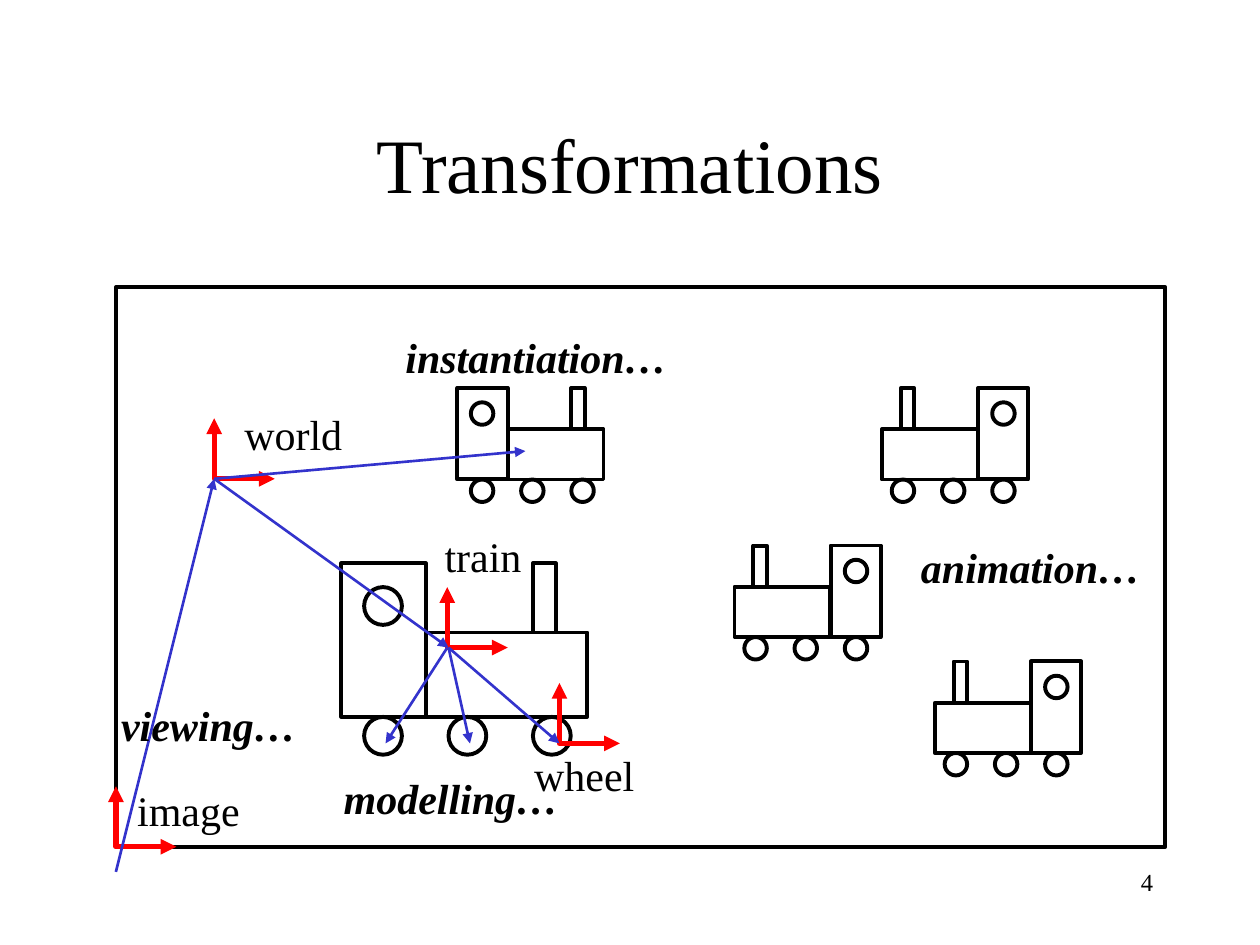
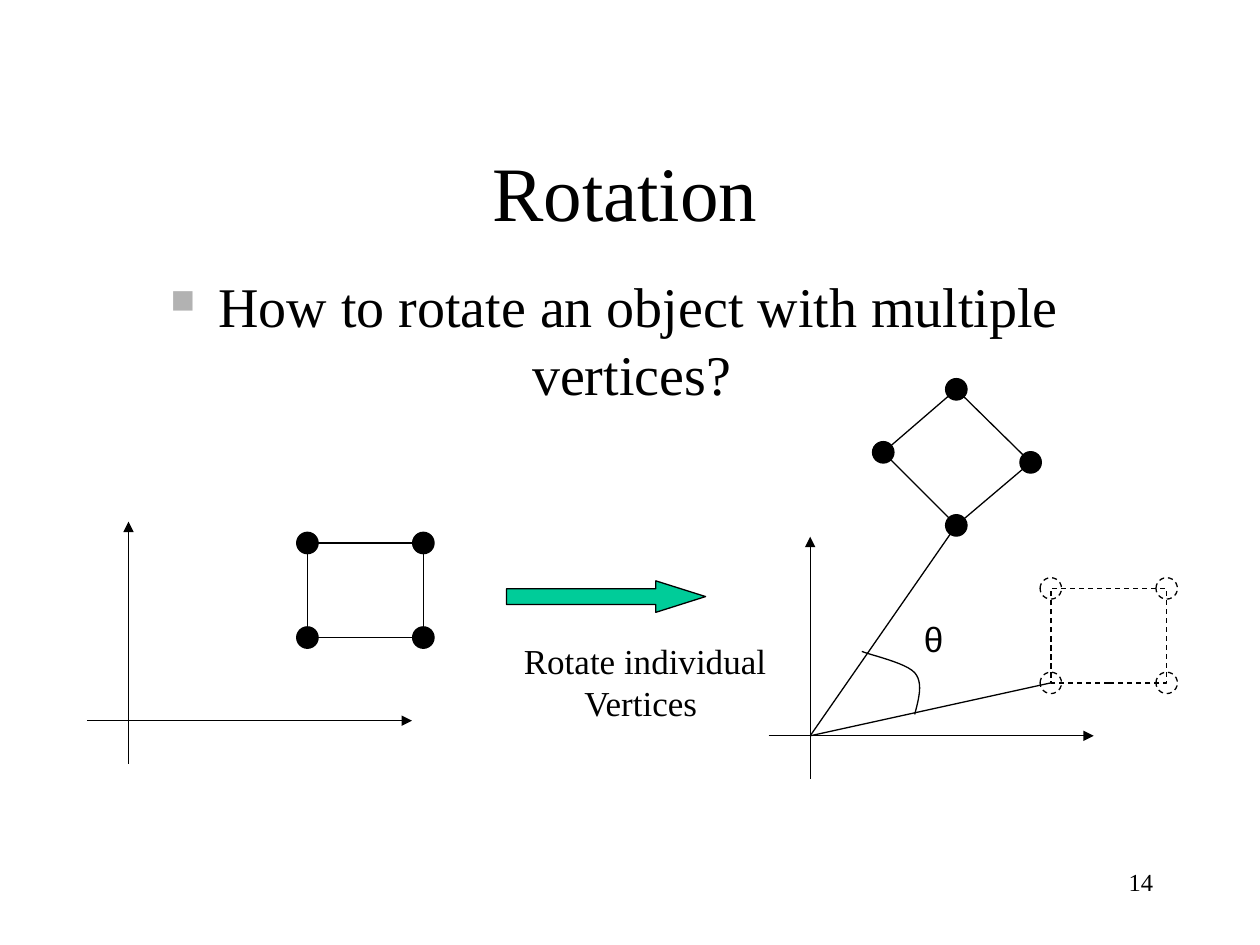
from itertools import product
from lxml import etree
from pptx import Presentation, util as u
from pptx.dml.color import RGBColor
from pptx.enum import dml, shapes, text
from pptx.oxml import ns

BLACK, RED, BLUE, GREEN, GREY = "000000", "FF0000", "3333CC", "00CC99", "B2B2B2"
SERIF = "Times New Roman"
RECT, OVAL = shapes.MSO_SHAPE.RECTANGLE, shapes.MSO_SHAPE.OVAL
LINE = shapes.MSO_CONNECTOR.STRAIGHT


def draw(item, color, width, fill=None, ends=(), dash=False):
    """Format a shape or connector; ends names its arrowheads."""
    item.line.color.rgb = RGBColor.from_string(color)
    item.line.width = u.Pt(width)
    if dash:
        item.line.dash_style = dml.MSO_LINE.DASH
    if fill:
        item.fill.solid()
        item.fill.fore_color.rgb = RGBColor.from_string(fill)
    elif hasattr(item, "fill"):
        item.fill.background()
    props = item.element.spPr
    for end in ends:
        etree.SubElement(props.find(ns.qn("a:ln")), ns.qn(f"a:{end}"), type="triangle")
    etree.SubElement(props, ns.qn("a:effectLst"))


def write(box, at, words, size, align="CENTER", anchor="TOP", wrap=False, **more):
    """Place a text box or placeholder and set its text."""
    for side, val in zip(("left", "top", "width", "height"), at):
        setattr(box, side, u.Inches(val))
    frame = box.text_frame
    frame.text = words
    frame.auto_size = text.MSO_AUTO_SIZE.NONE
    frame.word_wrap = wrap
    frame.vertical_anchor = text.MSO_ANCHOR[anchor]
    for para in frame.paragraphs:
        para.alignment = text.PP_ALIGN[align]
        font = para.runs[0].font
        font.color.rgb = RGBColor.from_string(BLACK)
        for key, val in {"name": SERIF, "size": u.Pt(size), **more}.items():
            setattr(font, key, val)


deck = Presentation()
deck.slide_width, deck.slide_height = u.Inches(10), u.Inches(7.5)

# Titles and page numbers
pages = []
for title, at, anchor, num in (
    ("Transformations", (0.75, 0.67, 8.5, 1.25), "MIDDLE", "4"),
    ("Rotation", (0.7, 0.68, 8.52, 1.25), "BOTTOM", "14"),
):
    page = deck.slides.add_slide(deck.slide_layouts[5])
    write(page.shapes.title, at, title, 44, anchor=anchor, wrap=True)
    write(page.shapes.add_textbox(0, 0, 0, 0), (7.17, 6.83, 2.08, 0.5),
          num, 14, "RIGHT", wrap=True)
    pages.append(page.shapes)
scene, turn = pages

# Slide 1: image frame
draw(scene.add_shape(RECT, *map(u.Inches, (0.92, 2.28, 8.33, 4.44))), BLACK, 2.25)

# Trains: parts at full size, then left, top, scale and facing of each train
LONG = 1.95
PARTS = (
    (RECT, 0.67, 0.55, 1.28, 0.67),   # boiler
    (RECT, 0, 0, 0.67, 1.22),         # cab
    (RECT, 1.52, 0, 0.18, 0.55),      # chimney
    (OVAL, 0.18, 0.19, 0.3, 0.3),     # window
    *((OVAL, x, 1.22, 0.3, 0.3) for x in (0.18, 0.85, 1.52)),  # wheels
)
SMALL = 0.595
for left, top, scale, flip in (
    (2.71, 4.47, 1, False), (3.63, 3.08, SMALL, False),
    (5.83, 4.33, SMALL, True), (7, 3.08, SMALL, True), (7.42, 5.25, SMALL, True),
):
    for kind, x, y, wide, high in PARTS:
        if flip:
            x = LONG - x - wide
        spot = (left + x * scale, top + y * scale, wide * scale, high * scale)
        draw(scene.add_shape(kind, *map(u.Inches, spot)), BLACK, 2.25)

# Coordinate axes with their labels
ARM = 0.48
for x, y, name, at in (
    (0.92, 6.72, "image", (0.99, 6.18, 1.01, 0.5)),
    (1.7, 3.8, "world", (1.84, 3.19, 0.98, 0.5)),
    (3.55, 5.14, "train", (3.43, 4.16, 0.81, 0.5)),
    (4.44, 5.9, "wheel", (4.14, 5.9, 0.99, 0.5)),
):
    pen = scene.build_freeform(u.Inches(x), u.Inches(y - ARM))
    pen.add_line_segments([(u.Inches(x), u.Inches(y)),
                           (u.Inches(x + ARM), u.Inches(y))], close=False)
    draw(pen.convert_to_shape(), RED, 3, ends=("headEnd", "tailEnd"))
    write(scene.add_textbox(0, 0, 0, 0), at, name, 24, "LEFT")

# Arrows from one frame of reference to the next
for ends in (
    (0.92, 6.92, 1.7, 3.8), (1.7, 3.8, 3.56, 5.14), (1.7, 3.8, 4.17, 3.58),
    (3.56, 5.14, 4.44, 5.9), (3.56, 5.14, 3.73, 5.9), (3.55, 5.14, 3.06, 5.9),
):
    draw(scene.add_connector(LINE, *map(u.Inches, ends)), BLUE, 1.5, ends=["tailEnd"])

# Names of the steps
for step, at in (
    ("modelling…", (2.63, 6.08, 1.9, 0.5)),
    ("instantiation…", (3.12, 2.58, 2.27, 0.5)),
    ("viewing…", (0.86, 5.5, 1.59, 0.5)),
    ("animation…", (7.21, 4.25, 1.94, 0.5)),
):
    write(scene.add_textbox(0, 0, 0, 0), at, step, 24, bold=True, italic=True)

# Slide 2: question with a square bullet
ask = turn.add_textbox(0, 0, 0, 0)
write(ask, (0.63, 2.11, 8.5, 4.5),
      "How to rotate an object with multiple vertices? ", 32, wrap=True)
para = ask.text_frame.paragraphs[0]
para.space_before = u.Pt(8)
props = para.alignment is not None and para.runs[0].font and ask.element.find(
    ".//" + ns.qn("a:pPr"))
props.set("marL", str(u.Inches(0.38)))
props.set("indent", str(-u.Inches(0.38)))
tint = etree.SubElement(props, ns.qn("a:buClr"))
etree.SubElement(tint, ns.qn("a:srgbClr"), val=GREY)
etree.SubElement(props, ns.qn("a:buSzPct"), val="60000")
etree.SubElement(props, ns.qn("a:buChar"), char="■")

# Axes, and the box before turning: solid on the left, dashed on the right
DOT = 0.17
for x, y, left, top, dash in (
    (1.02, 5.72, 2.44, 4.31, False), (6.43, 5.84, 8.34, 4.67, True),
):
    for ends in ((x - 0.33, y, x + 2.25, y), (x, y + 0.34, x, y - 1.58)):
        draw(turn.add_connector(LINE, *map(u.Inches, ends)), BLACK, 0.75,
             ends=["tailEnd"])
    wide, high = 0.92, 0.75
    draw(turn.add_shape(RECT, *map(u.Inches, (left, top, wide, high))),
         BLACK, 0.75, dash=dash)
    for cx, cy in product((left, left + wide), (top, top + high)):
        spot = (cx - DOT / 2, cy - DOT / 2, DOT, DOT)
        draw(turn.add_shape(OVAL, *map(u.Inches, spot)), BLACK, 0.75,
             fill=None if dash else BLACK, dash=dash)

# Turned box
tips = [(7.01, 3.59), (7.59, 4.17), (8.18, 3.67), (7.59, 3.09)]
for tip, after in zip(tips, tips[1:] + tips[:1]):
    draw(turn.add_connector(LINE, *map(u.Inches, tip + after)), BLACK, 0.75)
    spot = (tip[0] - DOT / 2, tip[1] - DOT / 2, DOT, DOT)
    draw(turn.add_shape(OVAL, *map(u.Inches, spot)), BLACK, 0.75, fill=BLACK)

# Angle: two rays and a curve of two Bézier pieces
for tip in ((8.34, 5.42), (7.59, 4.17)):
    draw(turn.add_connector(LINE, *map(u.Inches, (6.43, 5.84) + tip)), BLACK, 0.75)
curve = []
for ctrl in (
    ((7.26, 5.67), (7.29, 5.55), (7.33, 5.42), (7.26, 5.34)),
    ((7.26, 5.34), (7.19, 5.26), (6.91, 5.2), (6.84, 5.17)),
):
    for t in (i / 12 for i in range(13)):
        mix = ((1 - t) ** 3, 3 * t * (1 - t) ** 2, 3 * t * t * (1 - t), t ** 3)
        curve.append([u.Inches(sum(m * c[k] for m, c in zip(mix, ctrl)))
                      for k in (0, 1)])
pen = turn.build_freeform(*curve[0])
pen.add_line_segments(curve[1:], close=False)
draw(pen.convert_to_shape(), BLACK, 0.75)
write(turn.add_textbox(0, 0, 0, 0), (7.24, 4.85, 0.34, 0.44), "θ", 20, name="Arial")

# Arrow between the two graphs
arrow = turn.add_shape(shapes.MSO_SHAPE.RIGHT_ARROW,
                       *map(u.Inches, (4.02, 4.61, 1.58, 0.25)))
arrow.adjustments[0], arrow.adjustments[1] = 0.5, 1.58
draw(arrow, BLACK, 0.75, fill=GREEN)
write(turn.add_textbox(0, 0, 0, 0), (4.06, 5.03, 2.12, 0.77),
      "Rotate individual\nVertices ", 20)

deck.save("out.pptx")
